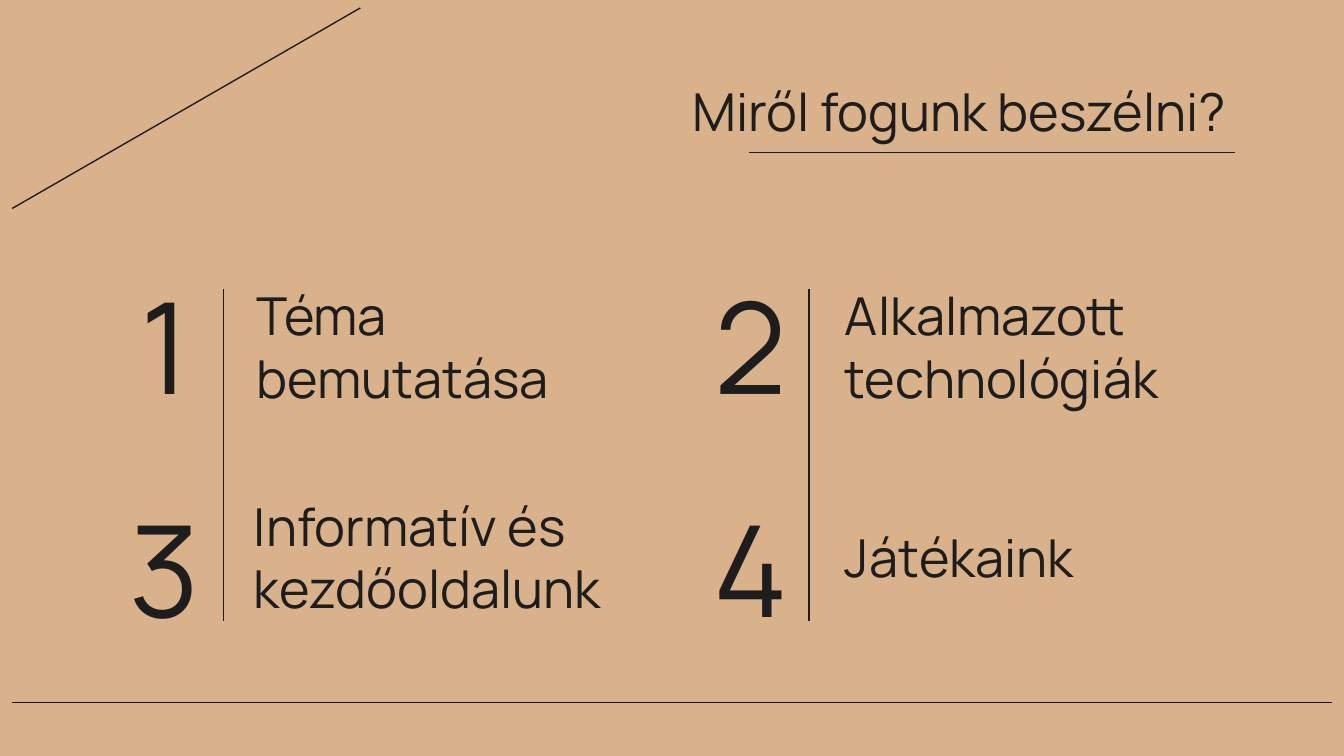
import pptx
import pptx.util
import pptx.dml.color
import pptx.enum.shapes
import pptx.enum.text
import pptx.oxml.ns
import lxml.etree

Cm, Pt = pptx.util.Cm, pptx.util.Pt
RGB = pptx.dml.color.RGBColor.from_string
ALIGN = pptx.enum.text.PP_ALIGN

THEME = {
    "background": RGB("D9B28B"),
    "ink": RGB("1D1D1D"),
    "footer_rule": RGB("141414"),
    "font": "Manrope",
    "heading_size": Pt(28),
    "number_size": Pt(68),
    "rule_width": Pt(0.75),
}

HEADING = "Miről fogunk beszélni?"
# text, left edge and width of the label (cm); listed row by row
TOPICS = [
    ("Téma bemutatása", 4.6, 7.7),
    ("Alkalmazott technológiák", 15.72, 7.7),
    ("Informatív és kezdőoldalunk", 4.55, 8.56),
    ("Játékaink", 15.72, 8.15),
]

NUMBER_LEFTS = (2.01, 13.08)
NUMBER_TOPS = (5.46, 9.68)
NUMBER_WIDTH, NUMBER_HEIGHT = 2.21, 2.06
LABEL_ROWS = ((5.05, 3.0), (9.3, 2.44))  # top, height

FRAME_FORMAT = {
    "word_wrap": True,
    "auto_size": pptx.enum.text.MSO_AUTO_SIZE.NONE,
    "vertical_anchor": pptx.enum.text.MSO_ANCHOR.MIDDLE,
    **{f"margin_{side}": Cm(0.25) for side in ("left", "top", "right", "bottom")},
}


def apply_format(target, values):
    for name, value in values.items():
        setattr(target, name, value)


def add_text(slide, text, box, size, align=ALIGN.LEFT):
    frame = slide.shapes.add_textbox(*map(Cm, box)).text_frame
    apply_format(frame, FRAME_FORMAT)
    paragraph = frame.paragraphs[0]
    paragraph.alignment = align
    run = paragraph.add_run()
    run.text = text
    apply_format(run.font, {"name": THEME["font"], "size": size})
    run.font.color.rgb = THEME["ink"]


def add_rule(slide, start, end, color=THEME["ink"]):
    rule = slide.shapes.add_connector(
        pptx.enum.shapes.MSO_CONNECTOR.STRAIGHT, *map(Cm, start + end))
    rule.line.color.rgb = color
    rule.line.width = THEME["rule_width"]
    lxml.etree.SubElement(rule._element.spPr, pptx.oxml.ns.qn("a:effectLst"))


def main():
    deck = pptx.Presentation()
    deck.slide_width, deck.slide_height = Cm(25.4), Cm(14.29)
    slide = deck.slides.add_slide(deck.slide_layouts[6])
    slide.background.fill.solid()
    slide.background.fill.fore_color.rgb = THEME["background"]

    add_rule(slide, (0.23, 13.28), (25.17, 13.28), THEME["footer_rule"])
    add_rule(slide, (6.81, 0.15), (0.23, 3.94))

    add_text(slide, HEADING, (8.99, 1.3, 14.43, 1.6),
             THEME["heading_size"], ALIGN.RIGHT)

    for index, (topic, label_left, label_width) in enumerate(TOPICS):
        row, column = divmod(index, len(NUMBER_LEFTS))
        label_top, label_height = LABEL_ROWS[row]
        add_text(slide, topic, (label_left, label_top, label_width, label_height),
                 THEME["heading_size"])
        add_text(slide, str(index + 1),
                 (NUMBER_LEFTS[column], NUMBER_TOPS[row], NUMBER_WIDTH, NUMBER_HEIGHT),
                 THEME["number_size"], ALIGN.CENTER)

    for number_left in NUMBER_LEFTS:
        divider = number_left + NUMBER_WIDTH
        add_rule(slide, (divider, NUMBER_TOPS[0]),
                 (divider, NUMBER_TOPS[-1] + NUMBER_HEIGHT))
    add_rule(slide, (14.16, 2.88), (23.34, 2.88))

    deck.save("out.pptx")


if __name__ == "__main__":
    main()
